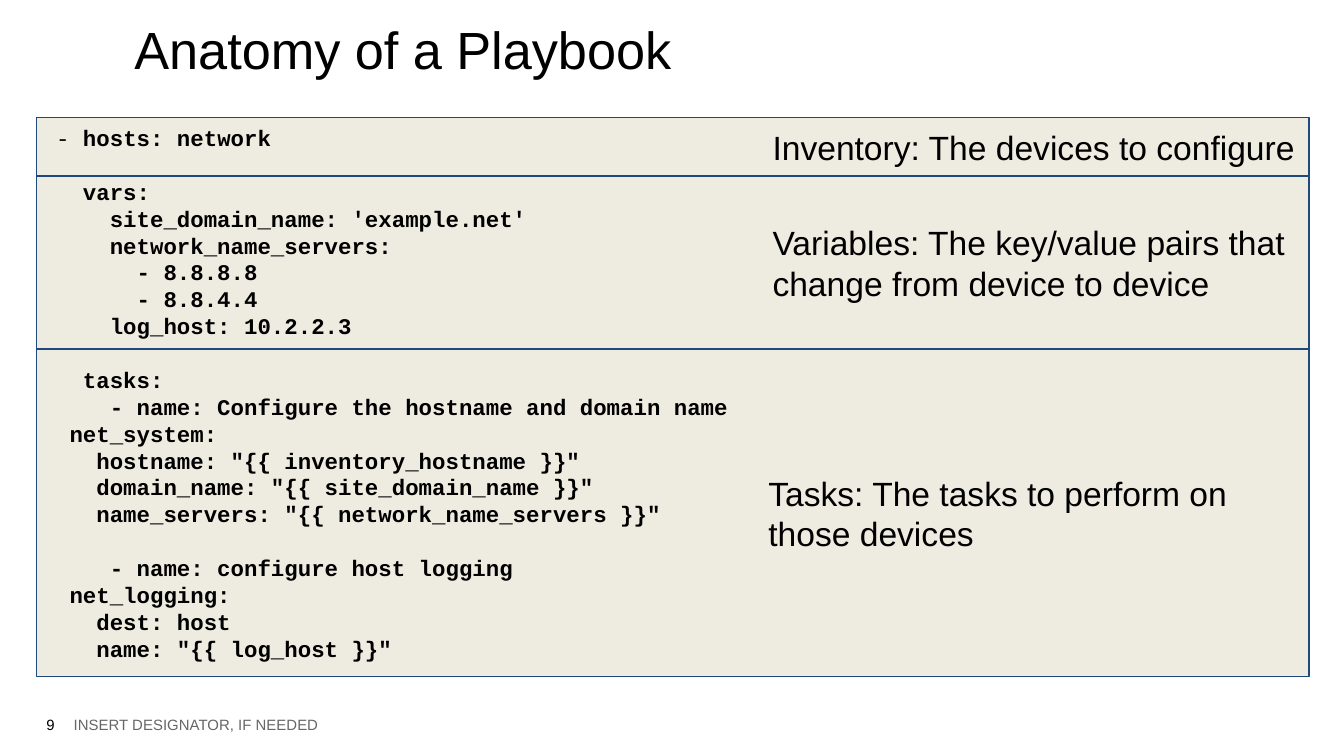
from pptx import Presentation
from pptx.dml.color import RGBColor
from pptx.enum.shapes import MSO_SHAPE
from pptx.enum.text import MSO_ANCHOR, PP_ALIGN
from pptx.util import Pt

HEAD = "Anatomy of a Playbook"
FOOT = "INSERT DESIGNATOR, IF NEEDED"
PAGE = "9"

NOTES = [
    ("Inventory: The devices to configure", 406.8, 302),
    ("Variables: The key/value pairs that change from device to device", 406.8, 313),
    ("Tasks: The tasks to perform on those devices", 404.6, 307),
]

CODE = [
    ["- hosts: network"],
    [
        "  vars:",
        "    site_domain_name: 'example.net'",
        "    network_name_servers:",
        "      - 8.8.8.8",
        "      - 8.8.4.4",
        "    log_host: 10.2.2.3",
    ],
    [
        "  tasks:",
        "    - name: Configure the hostname and domain name",
        " net_system:",
        '   hostname: "{{ inventory_hostname }}"',
        '   domain_name: "{{ site_domain_name }}"',
        '   name_servers: "{{ network_name_servers }}"',
    ],
    [
        "    - name: configure host logging",
        " net_logging:",
        "   dest: host",
        '   name: "{{ log_host }}"',
    ],
]

THEME = {
    "sans": "Arial", "mono": "Courier New",
    "ink": RGBColor(0x00, 0x00, 0x00), "gray": RGBColor(0x66, 0x66, 0x66),
    "fill": RGBColor(0xEE, 0xEC, 0xE1), "line": RGBColor(0x1F, 0x49, 0x7D),
    "head": 28, "note": 18, "code": 12, "foot": 8,
    "gap": 14.4,
}
EDGES = [63, 94.4, 187, 362.6]
LEFT, WIDTH = 19.4, 682


def style(font, size, face="sans", ink="ink", bold=False):
    font.name = THEME[face]
    font.size = Pt(THEME[size])
    font.color.rgb = THEME[ink]
    font.bold = bold


def frame(shape, anchor, pad=7.2):
    text = shape.text_frame
    text.word_wrap = True
    text.vertical_anchor = anchor
    text.margin_left = text.margin_right = Pt(7.2)
    text.margin_top = text.margin_bottom = Pt(pad)
    return text


def label(slide, words, box, size, ink="ink", align=PP_ALIGN.LEFT):
    shape = slide.shapes.add_textbox(*map(Pt, box))
    text = frame(shape, MSO_ANCHOR.MIDDLE)
    text.text = words
    para = text.paragraphs[0]
    para.alignment = align
    style(para.runs[0].font, size, ink=ink)


def bands(slide):
    for top, end in zip(EDGES, EDGES[1:]):
        band = slide.shapes.add_shape(
            MSO_SHAPE.RECTANGLE, Pt(LEFT), Pt(top), Pt(WIDTH), Pt(end - top))
        band.shadow.inherit = False
        band.fill.solid()
        band.fill.fore_color.rgb = THEME["fill"]
        band.line.color.rgb = THEME["line"]
        band.line.width = Pt(0.75)


def listing(slide):
    shape = slide.shapes.add_textbox(Pt(23), Pt(EDGES[0]), Pt(385), Pt(306.7))
    text = frame(shape, MSO_ANCHOR.TOP, 3.6)
    text.text = "\n".join(line for block in CODE for line in block)
    for para in text.paragraphs:
        style(para.runs[0].font, "code", "mono", bold=True)
    first = text.paragraphs[0]
    dash, rest = CODE[0][0][:2], CODE[0][0][2:]
    first.runs[0].text = dash
    first.runs[0].font.bold = False
    run = first.add_run()
    run.text = rest
    style(run.font, "code", "mono", bold=True)
    row = 0
    for block in CODE[:-1]:
        row += len(block)
        text.paragraphs[row].space_before = Pt(THEME["gap"])


def title(slide):
    shape = slide.shapes.title
    shape.left, shape.top, shape.width, shape.height = map(Pt, (64.8, 0, 590, 52))
    text = frame(shape, MSO_ANCHOR.MIDDLE)
    text.text = HEAD
    para = text.paragraphs[0]
    para.alignment = PP_ALIGN.LEFT
    style(para.runs[0].font, "head")


def main():
    deck = Presentation()
    deck.slide_width, deck.slide_height = Pt(720), Pt(405)
    slide = deck.slides.add_slide(deck.slide_layouts[5])
    title(slide)
    bands(slide)
    listing(slide)
    for (words, left, width), top, end in zip(NOTES, EDGES, EDGES[1:]):
        label(slide, words, (left, top, width, end - top), "note")
    label(slide, PAGE, (8.4, 372.8, 28, 31), "foot", align=PP_ALIGN.RIGHT)
    label(slide, FOOT, (32.4, 372.8, 603, 31), "foot", "gray")
    deck.save("out.pptx")


if __name__ == "__main__":
    main()
